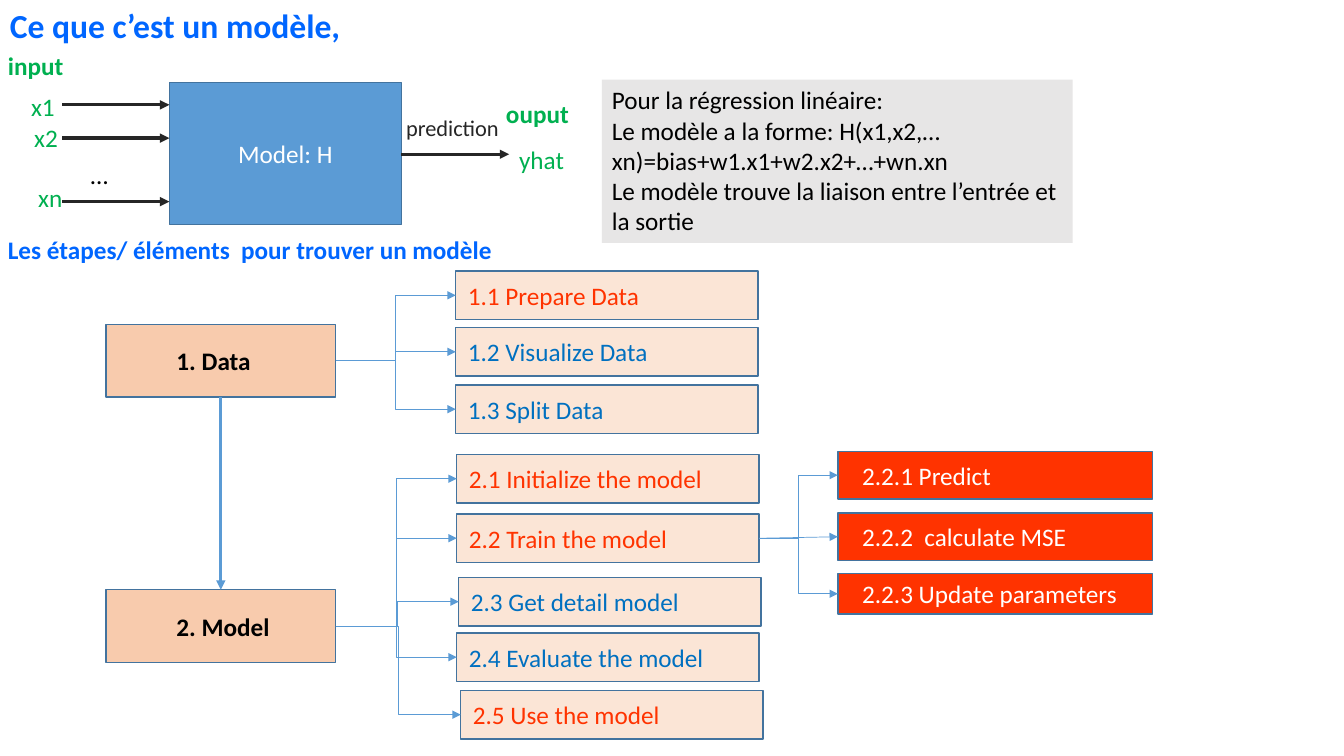
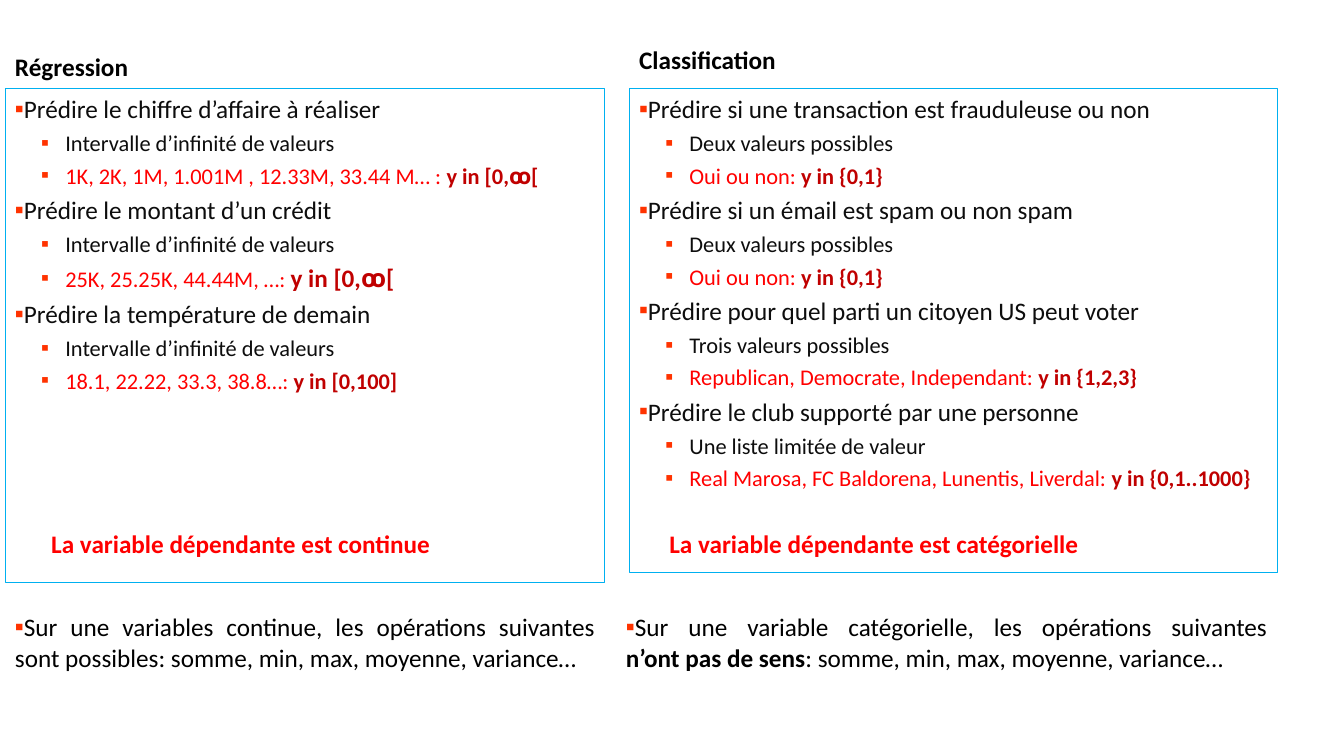
from lxml.etree import SubElement
from pptx import Presentation
from pptx.dml.color import RGBColor
from pptx.enum.shapes import MSO_CONNECTOR as CONNECTOR, MSO_SHAPE as SHAPE
from pptx.enum.text import MSO_ANCHOR as ANCHOR, PP_ALIGN as ALIGN
from pptx.oxml.ns import qn
from pptx.util import Inches, Pt

FONT = "Calibri"
BLACK, WHITE, INK, DARK = "000000", "FFFFFF", "0D0D0D", "262626"
BLUE, GREEN, RED, CRIMSON = "0066FF", "00B050", "FF0000", "C00000"
ORANGE, STEP_BLUE = "FF3300", "0070C0"
OUTLINE, LINK, PANEL_LINE = "43739E", "5B9BD5", "00B0F0"
PEACH, CREAM, GREY = "F8CBAD", "FBE5D6", "E7E6E6"
TOP, LEFT, BOTTOM, RIGHT = range(4)

LABELS = [
    ("Ce que c’est un modèle,", (0, 0, 4, 0.5), 24, BLUE, True),
    ("input", (-0.02, 0.45, 0.82, 0.4), 18, GREEN, True),
    ("x1", (0.21, 0.86, 0.5, 0.4), 18, GREEN, False),
    ("x2", (0.24, 1.16, 0.5, 0.4), 18, GREEN, False),
    ("…", (0.8, 1.53, 0.73, 0.4), 18, BLACK, False),
    ("xn", (0.28, 1.76, 0.5, 0.4), 18, GREEN, False),
    ("prediction", (3.93, 1.08, 1.3, 0.37), 16, DARK, False),
    ("ouput", (4.92, 0.93, 1.09, 0.4), 18, GREEN, True),
    ("yhat", (5.05, 1.38, 0.7, 0.4), 18, GREEN, False),
    ("Les étapes/ éléments  pour trouver un modèle", (-0.02, 2.28, 5.4, 0.4), 18, BLUE, True),
]
MODEL_BOX = (1.68, 0.82, 2.3, 1.41)
FLOW_ARROWS = [(0.62, 1.04, 1.68), (0.62, 1.37, 1.68), (0.62, 2, 1.68), (3.98, 1.53, 5.05)]
FORMULA_BOX = (5.97, 0.79, 4.67, 1.62)
FORMULA = [
    "Pour la régression linéaire:",
    "Le modèle a la forme: H(x1,x2,…xn)=bias+w1.x1+w2.x2+…+wn.xn",
    "Le modèle trouve la liaison entre l’entrée et la sortie",
]

STYLES = {
    "stage": {"fill": PEACH, "width": 2.28, "inset": 0.7, "bold": True},
    "step": {"fill": CREAM, "width": 3, "inset": 0.12, "bold": False},
    "task": {"fill": ORANGE, "width": 3.12, "inset": 0.24, "bold": False},
}
BOXES = [
    ("1. Data", "stage", 1.05, 3.22, 0.72, BLACK, None),
    ("2. Model", "stage", 1.05, 5.85, 0.72, BLACK, None),
    ("1.1 Prepare Data", "step", 4.52, 2.69, 0.48, ORANGE, "1. Data"),
    ("1.2 Visualize Data", "step", 4.52, 3.25, 0.48, STEP_BLUE, "1. Data"),
    ("1.3 Split Data", "step", 4.52, 3.82, 0.48, STEP_BLUE, "1. Data"),
    ("2.1 Initialize the model", "step", 4.53, 4.51, 0.48, ORANGE, "2. Model"),
    ("2.2 Train the model", "step", 4.53, 5.1, 0.48, ORANGE, "2. Model"),
    ("2.3 Get detail model", "step", 4.55, 5.73, 0.48, STEP_BLUE, "2. Model"),
    ("2.4 Evaluate the model", "step", 4.53, 6.28, 0.48, STEP_BLUE, "2. Model"),
    ("2.5 Use the model", "step", 4.57, 6.85, 0.48, ORANGE, "2. Model"),
    ("2.2.1 Predict", "task", 8.31, 4.48, 0.47, WHITE, "2.2 Train the model"),
    ("2.2.2  calculate MSE", "task", 8.31, 5.09, 0.47, WHITE, "2.2 Train the model"),
    ("2.2.3 Update parameters", "task", 8.31, 5.69, 0.4, WHITE, "2.2 Train the model"),
]

INTERVAL = "Intervalle d’infinité de valeurs"
TWO_VALUES = "Deux valeurs possibles"
COLUMNS = [
    {
        "heading": ("Régression", (0.05, 0.46, 2.55, 0.4)),
        "panel": (0.05, 0.88, 5.95, 4.9),
        "examples": [
            ("Prédire le chiffre d’affaire à réaliser", INTERVAL,
             "1K, 2K, 1M, 1.001M , 12.33M, 33.44 M… : ", "y in [0,ꚙ[", 16),
            ("Prédire le montant d’un crédit", INTERVAL,
             "25K, 25.25K, 44.44M, …: ", "y in [0,ꚙ[", 18),
            ("Prédire la température de demain", INTERVAL,
             "18.1, 22.22, 33.3, 38.8…: ", "y in [0,100]", 16),
        ],
        "conclusion": ("La variable dépendante est continue", (0.41, 5.19, 4.86, 0.4)),
        "note_box": (0.05, 6.02, 5.95, 0.71),
        "note": [("Sur une variables continue, les opérations suivantes sont possibles: "
                  "somme, min, max, moyenne, variance…", False)],
    },
    {
        "heading": ("Classification", (6.24, 0.39, 2.55, 0.4)),
        "panel": (6.24, 0.88, 6.43, 4.8),
        "examples": [
            ("Prédire si une transaction est frauduleuse ou non", TWO_VALUES,
             "Oui ou non: ", "y in {0,1}", 16),
            ("Prédire si un émail est spam ou non spam", TWO_VALUES,
             "Oui ou non: ", "y in {0,1}", 16),
            ("Prédire pour quel parti un citoyen US peut voter", "Trois valeurs possibles",
             "Republican, Democrate, Independant: ", "y in {1,2,3}", 16),
            ("Prédire le club supporté par une personne", "Une liste limitée de valeur",
             "Real Marosa, FC Baldorena, Lunentis, Liverdal: ", "y in {0,1..1000}", 16),
        ],
        "conclusion": ("La variable dépendante est catégorielle", (6.54, 5.19, 4.86, 0.4)),
        "note_box": (6.11, 6.02, 6.56, 0.71),
        "note": [("Sur une variable catégorielle, les opérations suivantes", False), None,
                 ("n’ont pas de sens", True),
                 (": somme, min, max, moyenne, variance…", False)],
    },
]


def rgb(value):
    """Turn a hex string into a colour."""
    return RGBColor.from_string(value)


def assign(target, **values):
    """Set several attributes of one object."""
    for name, value in values.items():
        setattr(target, name, value)


def add_run(paragraph, text, size=18, color=BLACK, bold=False):
    """Add a formatted run."""
    run = paragraph.add_run()
    run.text = text
    assign(run.font, name=FONT, size=Pt(size), bold=bold)
    run.font.color.rgb = rgb(color)


def add_paragraph(frame):
    """Return the empty first paragraph, or a new one."""
    first = frame.paragraphs[0]
    return frame.add_paragraph() if first.runs else first


def add_bullet(frame, depth=0, hanging=0.24, after=4):
    """Start a justified paragraph with a square bullet."""
    paragraph = add_paragraph(frame)
    assign(paragraph, alignment=ALIGN.JUSTIFY, space_after=Pt(after), level=depth)
    properties = paragraph._p.get_or_add_pPr()
    properties.set("marL", str(Inches(0.5 * depth)))
    properties.set("indent", str(-Inches(hanging)))
    SubElement(SubElement(properties, qn("a:buClr")), qn("a:srgbClr"), val=ORANGE)
    SubElement(properties, qn("a:buFont"), typeface=FONT)
    SubElement(properties, qn("a:buChar"), char="▪")
    return paragraph


def add_text_box(slide, box):
    """Add a wrapping text box and return its frame."""
    frame = slide.shapes.add_textbox(*map(Inches, box)).text_frame
    frame.word_wrap = True
    return frame


def add_label(slide, text, box, size=18, color=BLACK, bold=True):
    """Add a one-line label."""
    add_run(add_text_box(slide, box).paragraphs[0], text, size, color, bold)


def add_box(slide, box, fill=None, line=None, weight=1, inset=0.1,
            anchor=ANCHOR.MIDDLE, align=ALIGN.LEFT):
    """Add a rectangle without shadow."""
    shape = slide.shapes.add_shape(SHAPE.RECTANGLE, *map(Inches, box))
    shape.shadow.inherit = False
    if fill:
        shape.fill.solid()
        shape.fill.fore_color.rgb = rgb(fill)
    else:
        shape.fill.background()
    if line:
        shape.line.color.rgb = rgb(line)
        shape.line.width = Pt(weight)
    else:
        shape.line.fill.background()
    assign(shape.text_frame, word_wrap=True, vertical_anchor=anchor, margin_left=Inches(inset))
    shape.text_frame.paragraphs[0].alignment = align
    return shape


def add_arrow(slide, kind, points, color, weight):
    """Add a connector that ends in a triangle."""
    connector = slide.shapes.add_connector(kind, *points)
    connector.line.color.rgb = rgb(color)
    connector.line.width = Pt(weight)
    properties = connector._element.spPr
    SubElement(properties.find(qn("a:ln")), qn("a:tailEnd"), type="triangle")
    SubElement(properties, qn("a:effectLst"))
    return connector


def link(slide, source, source_side, target, target_side, kind, weight):
    """Join two boxes with an arrow."""
    connector = add_arrow(slide, kind, (0, 0, 0, 0), LINK, weight)
    connector.begin_connect(source, source_side)
    connector.end_connect(target, target_side)


def build_model_slide(slide):
    """Draw the model definition and the tree of steps."""
    shapes = {}
    for text, style_name, left, top, height, color, parent in BOXES:
        style = STYLES[style_name]
        shape = add_box(slide, (left, top, style["width"], height), style["fill"],
                        OUTLINE, inset=style["inset"])
        add_run(shape.text_frame.paragraphs[0], text, color=color, bold=style["bold"])
        shapes[text] = shape
        if parent:
            source = shapes[parent]
            drop = shape.top + shape.height / 2 - source.top - source.height / 2
            kind = CONNECTOR.STRAIGHT if abs(drop) < Inches(0.05) else CONNECTOR.ELBOW
            link(slide, source, RIGHT, shape, LEFT, kind, 0.5)
    link(slide, shapes["1. Data"], BOTTOM, shapes["2. Model"], TOP, CONNECTOR.STRAIGHT, 2.25)

    model = add_box(slide, MODEL_BOX, LINK, OUTLINE, align=ALIGN.CENTER)
    add_run(model.text_frame.paragraphs[0], "Model: H", color=WHITE)
    for start, height, end in FLOW_ARROWS:
        points = map(Inches, (start, height, end, height))
        add_arrow(slide, CONNECTOR.STRAIGHT, points, DARK, 2.25)
    for label in LABELS:
        add_label(slide, *label)
    frame = add_box(slide, FORMULA_BOX, GREY, anchor=ANCHOR.TOP).text_frame
    for text in FORMULA:
        paragraph = add_paragraph(frame)
        paragraph.alignment = ALIGN.LEFT
        add_run(paragraph, text)


def build_comparison_slide(slide):
    """Draw regression and classification side by side."""
    for column in COLUMNS:
        frame = add_box(slide, column["panel"], line=PANEL_LINE, weight=0.75,
                        anchor=ANCHOR.TOP).text_frame
        for goal, kind, values, domain, domain_size in column["examples"]:
            add_run(add_bullet(frame), goal, color=INK)
            add_run(add_bullet(frame, 1), kind, 16, INK)
            paragraph = add_bullet(frame, 1)
            add_run(paragraph, values, 16, RED)
            add_run(paragraph, domain, domain_size, CRIMSON, True)
        add_label(slide, *column["heading"])
        add_label(slide, *column["conclusion"], color=RED)
        paragraph = add_bullet(add_text_box(slide, column["note_box"]), hanging=0.31, after=12)
        for part in column["note"]:
            if part:
                add_run(paragraph, part[0], bold=part[1])
            else:
                paragraph.add_line_break()


def main():
    """Build and save the presentation."""
    presentation = Presentation()
    assign(presentation, slide_width=Inches(13.33), slide_height=Inches(7.5))
    for build in (build_model_slide, build_comparison_slide):
        build(presentation.slides.add_slide(presentation.slide_layouts[6]))
    presentation.save("out.pptx")


if __name__ == "__main__":
    main()
